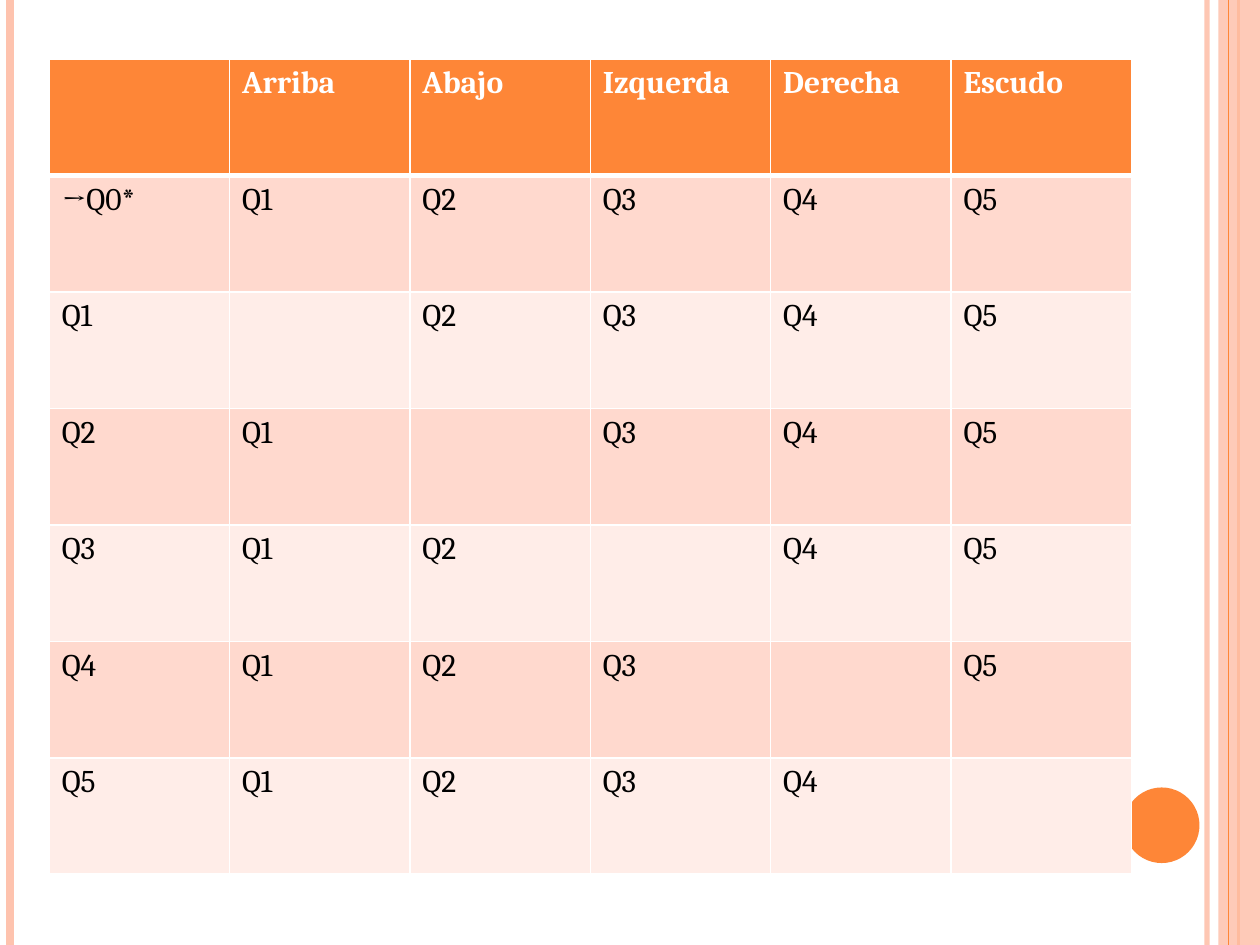
from dataclasses import dataclass

from lxml.etree import SubElement
from pptx import Presentation
from pptx.dml.color import RGBColor
from pptx.enum.shapes import MSO_CONNECTOR, MSO_SHAPE
from pptx.oxml.ns import qn
from pptx.util import Inches, Pt


@dataclass(frozen=True)
class Theme:
    """Colours, font and type size of the slide."""
    accent: str = "FE8637"
    peach: str = "FEC3AE"
    dark: str = "FFD9CE"
    light: str = "FFEDE8"
    white: str = "FFFFFF"
    black: str = "000000"
    font: str = "Cambria"
    size: int = 18


THEME = Theme()
WIDTH, HEIGHT = 10, 7.5

MOVES = ["Arriba", "Abajo", "Izquerda", "Derecha", "Escudo"]
STATES = ["→Q0*", "Q1", "Q2", "Q3", "Q4", "Q5"]
TARGETS = STATES[1:]
GRID = [[""] + MOVES] + [
    [state] + ["" if goal == state else goal for goal in TARGETS]
    for state in STATES
]
TABLE_BOX = (0.39, 0.47, 8.59, 6.47)

# x, colour, width in points, opacity in percent
BACK_LINES = [
    (9.58, THEME.peach, 3, 93),
    (0.08, THEME.peach, 4.5, 100),
    (9.83, THEME.accent, 1.5, 100),
]
FRONT_LINES = [(9.75, THEME.accent, 0.75, 100)]
BAND_BOX = (9.67, 0, 0.33, HEIGHT)
DOT_BOX = (8.92, 6.25, 0.6, 0.6)


def fade(part, percent):
    """Set the opacity of the solid colour inside an XML part."""
    if percent < 100:
        color = next(part.iter(qn("a:srgbClr")))
        SubElement(color, qn("a:alpha"), val=str(percent * 1000))


def add_line(slide, x, color, width, percent):
    """Draw a full-height vertical line."""
    line = slide.shapes.add_connector(
        MSO_CONNECTOR.STRAIGHT, Inches(x), 0, Inches(x), Inches(HEIGHT))
    line.line.color.rgb = RGBColor.from_string(color)
    line.line.width = Pt(width)
    props = line.element.spPr
    fade(props, percent)
    SubElement(props, qn("a:effectLst"))


def add_block(slide, kind, box, color, percent=100):
    """Draw a filled shape without outline."""
    block = slide.shapes.add_shape(kind, *map(Inches, box))
    block.shadow.inherit = False
    block.fill.solid()
    block.fill.fore_color.rgb = RGBColor.from_string(color)
    block.line.fill.background()
    fade(block.element.spPr, percent)


def add_edge(cell, side, width):
    """Add one white border to a cell."""
    edge = SubElement(cell._tc.get_or_add_tcPr(), qn(f"a:ln{side}"),
                      w=str(Pt(width)))
    fill = SubElement(edge, qn("a:solidFill"))
    SubElement(fill, qn("a:srgbClr"), val=THEME.white)


def fill_cell(cell, text, row):
    """Style a cell by its row and write its text."""
    head = row == 0
    edges = {"L": 1, "R": 1, "T": 3 if row == 1 else 1, "B": 3 if head else 1}
    for side, width in edges.items():
        add_edge(cell, side, width)
    band = THEME.dark if row % 2 else THEME.light
    cell.fill.solid()
    cell.fill.fore_color.rgb = RGBColor.from_string(
        THEME.accent if head else band)
    if text:
        run = cell.text_frame.paragraphs[0].add_run()
        run.text = text
        run.font.name = THEME.font
        run.font.size = Pt(THEME.size)
        run.font.bold = head
        run.font.color.rgb = RGBColor.from_string(
            THEME.white if head else THEME.black)


def add_grid(slide):
    """Build the state transition table with equal rows and columns."""
    rows, cols = len(GRID), len(GRID[0])
    left, top, width, height = map(Inches, TABLE_BOX)
    table = slide.shapes.add_table(
        rows, cols, left, top, width, height).table
    for col in table.columns:
        col.width = width // cols
    for line in table.rows:
        line.height = height // rows
    for row, texts in enumerate(GRID):
        for col, text in enumerate(texts):
            fill_cell(table.cell(row, col), text, row)


def main():
    """Build and save the slide."""
    deck = Presentation()
    deck.slide_width, deck.slide_height = Inches(WIDTH), Inches(HEIGHT)
    slide = deck.slides.add_slide(deck.slide_layouts[6])
    for item in BACK_LINES:
        add_line(slide, *item)
    add_block(slide, MSO_SHAPE.RECTANGLE, BAND_BOX, THEME.peach, 87)
    for item in FRONT_LINES:
        add_line(slide, *item)
    add_block(slide, MSO_SHAPE.OVAL, DOT_BOX, THEME.accent)
    add_grid(slide)
    deck.save("out.pptx")


main()
